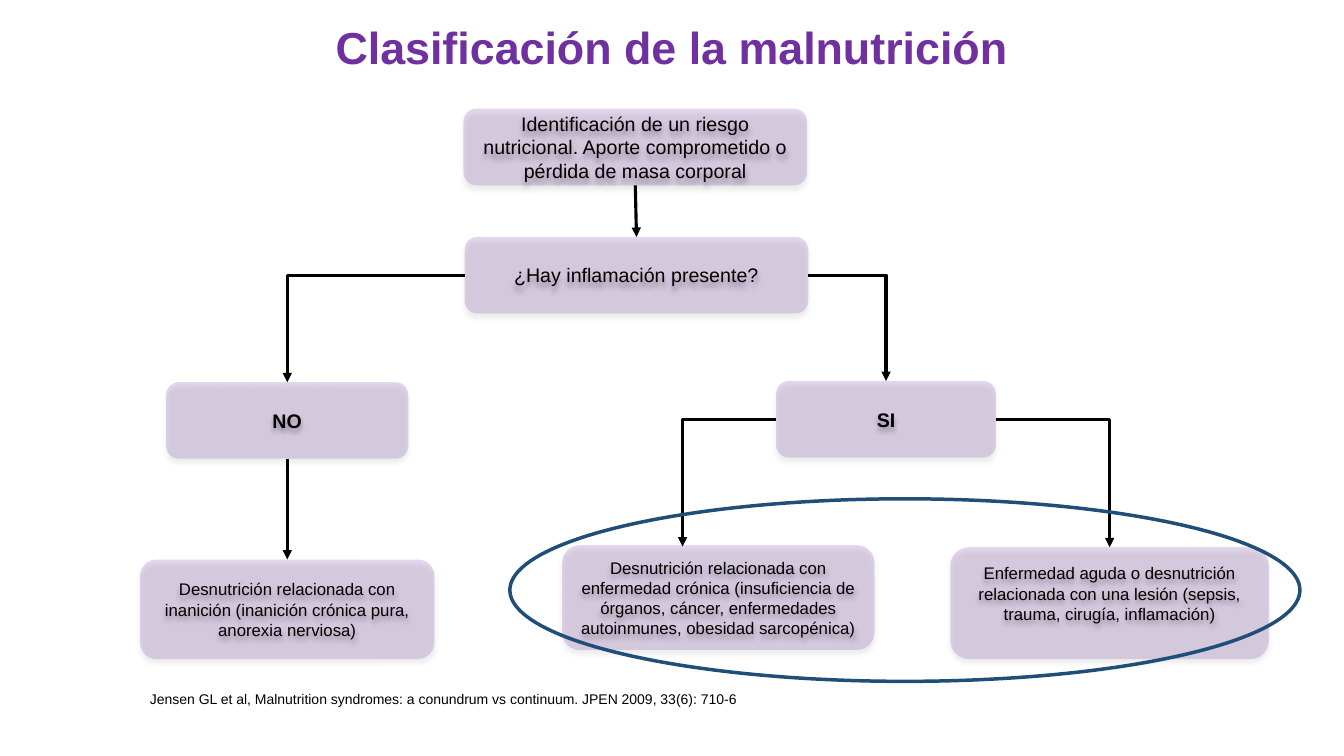
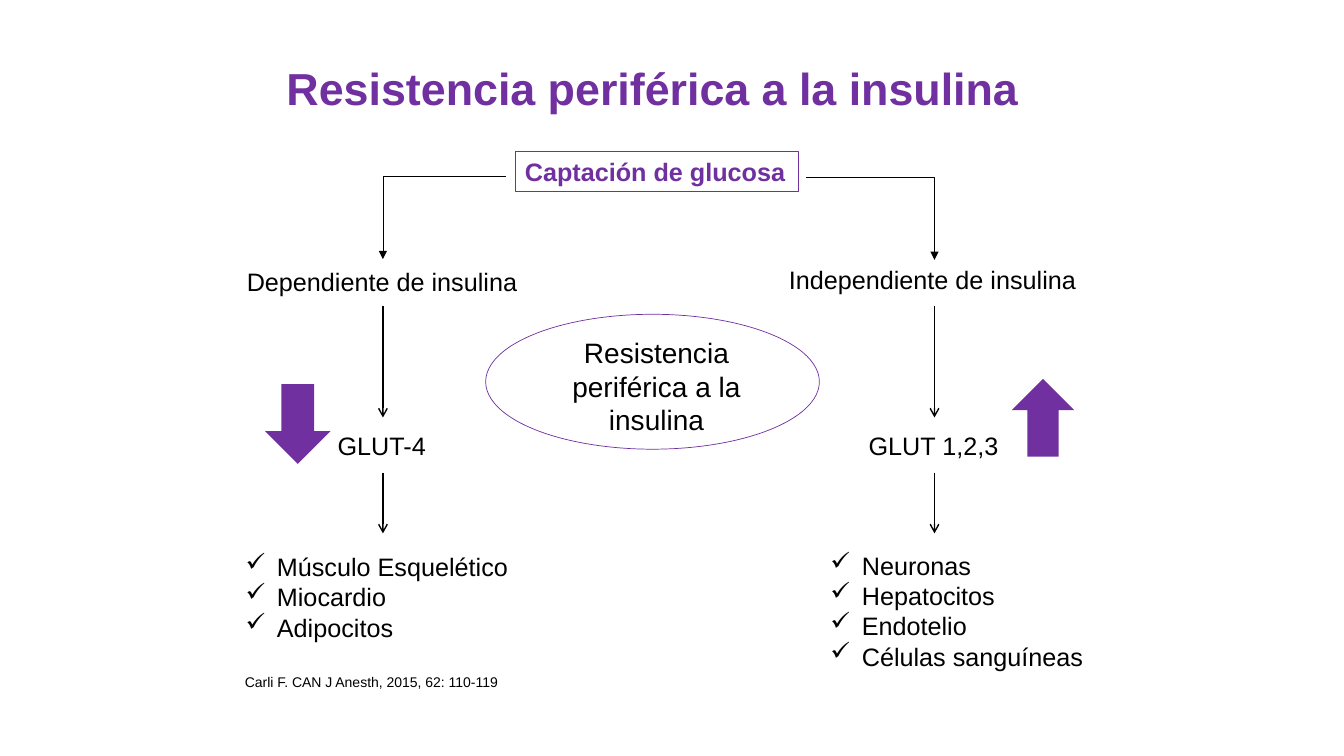
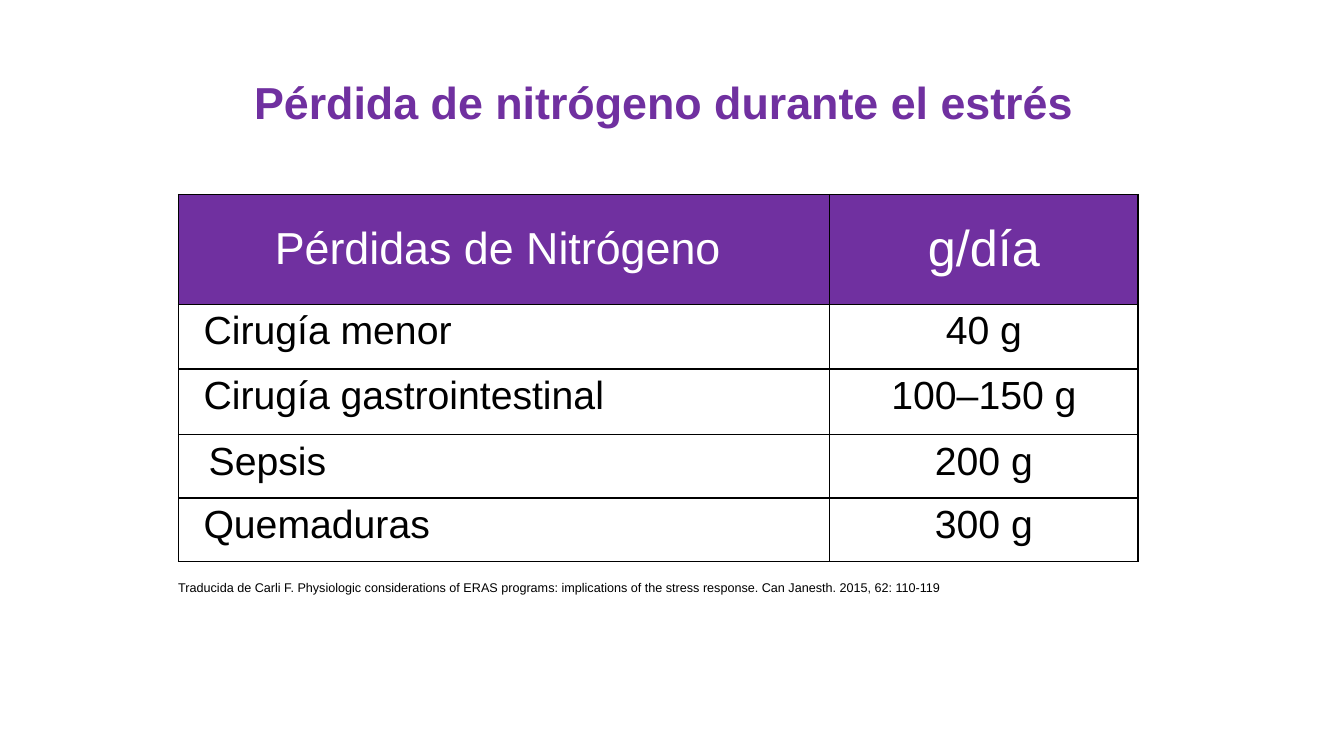
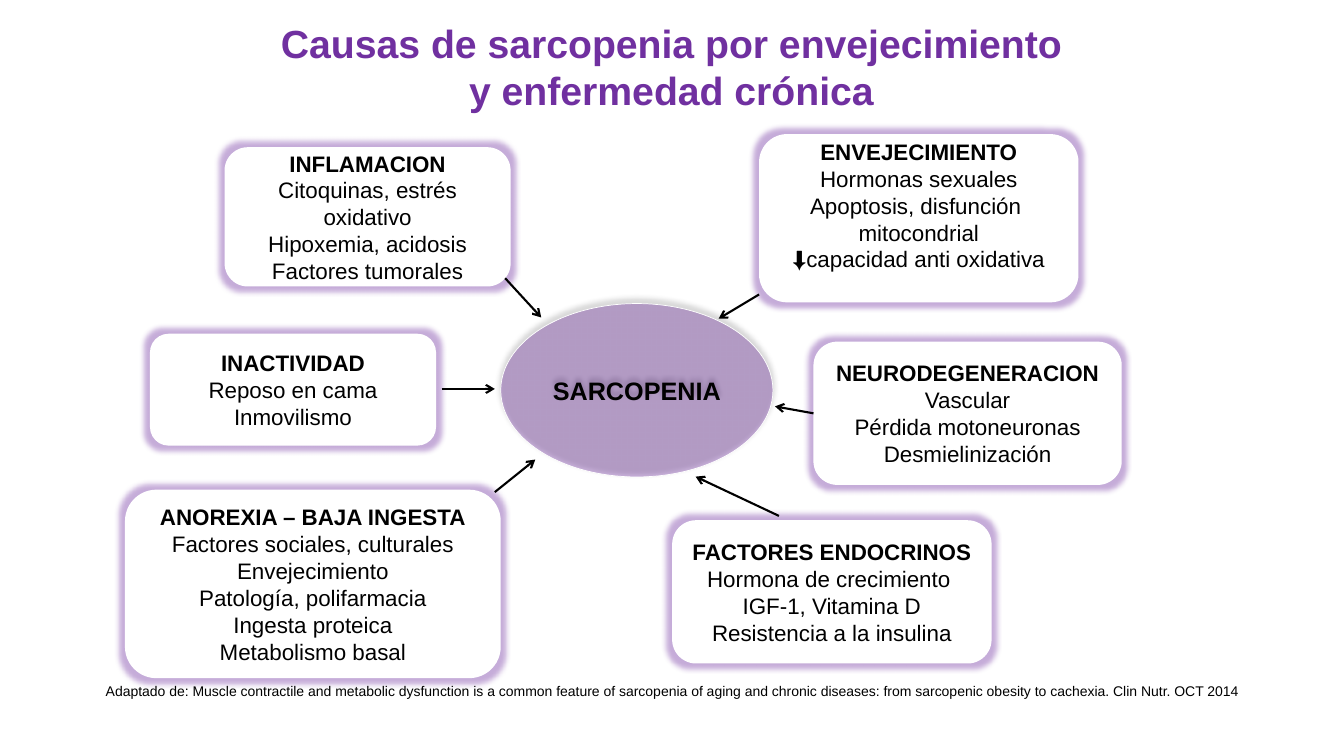
"""Builds four slides on malnutrition, insulin resistance, nitrogen loss and sarcopenia."""
from lxml.etree import SubElement
from pptx import Presentation
from pptx.dml.color import RGBColor
from pptx.enum.shapes import MSO_CONNECTOR, MSO_SHAPE
from pptx.enum.text import MSO_ANCHOR, PP_ALIGN
from pptx.oxml.ns import qn
from pptx.util import Cm, Pt

FONT = "Arial"
PURPLE, NAVY, BLACK, WHITE = "7030A0", "1F4E79", "000000", "FFFFFF"
LEFT, MID = PP_ALIGN.LEFT, PP_ALIGN.CENTER
ROUND, OVAL, RECT = MSO_SHAPE.ROUNDED_RECTANGLE, MSO_SHAPE.OVAL, MSO_SHAPE.RECTANGLE
TOP, WEST, BASE, EAST = range(4)

STEPS = {
    "risk": ((11.68, 2.74, 8.66, 1.93), "Identificación de un riesgo nutricional. Aporte comprometido o pérdida de masa corporal", {}),
    "ask": ((11.71, 5.97, 8.66, 1.93), "¿Hay inflamación presente?", {}),
    "yes": ((19.56, 9.6, 5.54, 1.93), "SI", {"bold": True}),
    "starve": ((3.53, 14.1, 7.42, 2.51), "Desnutrición relacionada con inanición (inanición crónica pura, anorexia nerviosa)", {"size": 12}),
    "chronic": ((14.17, 13.74, 7.87, 2.64), "Desnutrición relacionada con enfermedad crónica (insuficiencia de órganos, cáncer, enfermedades autoinmunes, obesidad sarcopénica)", {"size": 12}),
    "acute": ((23.95, 13.79, 8.03, 2.82), "Enfermedad aguda o desnutrición relacionada con una lesión (sepsis, trauma, cirugía, inflamación)", {"size": 12, "foot": 0.62}),
    "no": ((4.19, 9.63, 6.1, 1.93), "NO", {"bold": True}),
}
DOWN = [("risk", "ask"), ("no", "starve")]
TURNS = [("ask", EAST, "yes"), ("ask", WEST, "no"), ("yes", EAST, "acute")]

LABELS = [
    ((5.97, 6.58, 7.39, 1.02), "Dependiente de insulina"),
    ((19.63, 6.53, 7.82, 1.02), "Independiente de insulina"),
    ((8.26, 10.72, 2.79, 1.02), "GLUT-4"),
    ((21.64, 10.72, 3.86, 1.02), "GLUT 1,2,3"),
]
LISTS = [
    ((5.94, 13.77, 7.39, 2.57), "Músculo Esquelético\nMiocardio\nAdipocitos"),
    ((20.68, 13.74, 7.21, 3.33), "Neuronas\nHepatocitos\nEndotelio\nCélulas sanguíneas"),
]
AXES = (9.65, 23.55)
SPANS = [(7.72, 10.52), (11.91, 13.44)]
FORKS = [((20.32, 4.47), (AXES[1], 6.55)), ((12.75, 4.45), (AXES[0], 6.53))]
SIGNS = [
    (MSO_SHAPE.DOWN_ARROW, (6.68, 9.68, 1.65, 2.01)),
    (MSO_SHAPE.UP_ARROW, (25.5, 9.55, 1.57, 1.96)),
]

ROWS = [
    ("Pérdidas de Nitrógeno ", "g/día"),
    ("Cirugía menor", "40 g"),
    ("Cirugía gastrointestinal", "100–150 g"),
    ("Sepsis", "200 g"),
    ("Quemaduras", "300 g"),
]
WIDTHS = (16.41, 7.77)
HEIGHTS = (2.77, 1.63, 1.65, 1.6, 1.6)

CAUSES = [
    ((5.66, 3.71, 7.21, 3.51), "INFLAMACION\nCitoquinas, estrés oxidativo\nHipoxemia, acidosis\nFactores tumorales", {}),
    ((3.78, 8.41, 7.21, 2.82), "INACTIVIDAD\nReposo en cama\nInmovilismo", {}),
    ((3.15, 12.34, 9.47, 4.75), "ANOREXIA – BAJA INGESTA\nFactores sociales, culturales\nEnvejecimiento\nPatología, polifarmacia\nIngesta proteica\nMetabolismo basal", {}),
    ((19.13, 3.38, 8.05, 4.24), "ENVEJECIMIENTO\nHormonas sexuales\nApoptosis, disfunción \nmitocondrial\n⬇capacidad anti oxidativa", {"foot": 0.78}),
    ((16.94, 13.11, 8.05, 3.61), "FACTORES ENDOCRINOS\nHormona de crecimiento \nIGF-1, Vitamina D\nResistencia a la insulina", {}),
    ((20.5, 8.61, 7.77, 3.61), "NEURODEGENERACION\nVascular\nPérdida motoneuronas\nDesmielinización", {}),
]
RAYS = [
    ((12.73, 7.01), (13.64, 8)),
    ((19.13, 7.42), (18.11, 8.03)),
    ((11.13, 9.8), (12.47, 9.8)),
    ((12.47, 12.4), (13.49, 11.58)),
    ((19.63, 13), (17.53, 12.01)),
]


def rgb(code):
    """Turn a hex string into a colour."""
    return RGBColor.from_string(code)


def write(frame, text, size=14, color=BLACK, bold=False, head=False, align=MID,
          anchor=MSO_ANCHOR.MIDDLE, wrap=True, lead=None, mark=None, foot=None):
    """Fill a text frame, one paragraph to a line."""
    frame.word_wrap = wrap
    frame.vertical_anchor = anchor
    if foot:
        frame.margin_bottom = Cm(foot)
    for n, line in enumerate(text.split("\n")):
        par = frame.add_paragraph() if n else frame.paragraphs[0]
        par.alignment = align
        if lead:
            par.line_spacing = lead
        if mark:
            props = par._p.get_or_add_pPr()
            props.set("marL", str(Cm(0.79)))
            props.set("indent", str(-Cm(0.79)))
            SubElement(props, qn("a:buChar")).set("char", mark)
        run = par.add_run()
        run.text = line
        font = run.font
        font.name, font.size, font.color.rgb = FONT, Pt(size), rgb(color)
        font.bold = bold or (head and n == 0)


def label(slide, box, text, anchor=MSO_ANCHOR.TOP, **form):
    """Add a text box."""
    item = slide.shapes.add_textbox(*map(Cm, box))
    write(item.text_frame, text, anchor=anchor, **form)


def title(slide, box, text, size=32, **form):
    """Add a slide title."""
    label(slide, box, text, size=size, color=PURPLE, bold=True, anchor=MSO_ANCHOR.MIDDLE, **form)


def tint(parent, code, alpha):
    """Add a see-through colour to an effect."""
    tone = SubElement(parent, qn("a:srgbClr"))
    tone.set("val", code)
    SubElement(tone, qn("a:alpha")).set("val", str(alpha * 1000))


def shape(slide, kind, box, fill=None, alpha=None, line=None, width=1, cast=None, glow=False):
    """Add a preset shape; cast is the angle of its shadow."""
    item = slide.shapes.add_shape(kind, *map(Cm, box))
    item.shadow.inherit = False
    props = item.element.spPr
    if fill:
        item.fill.solid()
        item.fill.fore_color.rgb = rgb(fill)
        if alpha:
            tone = props.find(qn("a:solidFill")).find(qn("a:srgbClr"))
            SubElement(tone, qn("a:alpha")).set("val", str(alpha * 1000))
    else:
        item.fill.background()
    if line:
        item.line.color.rgb, item.line.width = rgb(line), Pt(width)
    else:
        item.line.fill.background()
    effects = props.find(qn("a:effectLst"))
    if cast is not None:
        shade = SubElement(effects, qn("a:outerShdw"))
        for key, val in (("blurRad", Pt(4)), ("dist", Pt(3)), ("dir", cast * 60000), ("rotWithShape", 0)):
            shade.set(key, str(val))
        tint(shade, BLACK, 40)
    if glow:
        halo = SubElement(effects, qn("a:glow"))
        halo.set("rad", str(Pt(8)))
        tint(halo, PURPLE, 40)
    return item


def spot(end):
    """Give the point of an end: a place, or a shape and its side."""
    item, n = end
    if isinstance(item, (int, float)):
        return Cm(item), Cm(n)
    x, y = item.left + item.width // 2, item.top + item.height // 2
    return ((x, item.top), (item.left, y), (x, item.top + item.height), (item.left + item.width, y))[n]


def link(slide, start, stop, width, tip, bent=False):
    """Draw an arrow, joined to any shape it starts or stops at."""
    kind = MSO_CONNECTOR.ELBOW if bent else MSO_CONNECTOR.STRAIGHT
    (x1, y1), (x2, y2) = spot(start), spot(stop)
    wire = slide.shapes.add_connector(kind, x1, y1, x2, y2)
    for end, join in ((start, wire.begin_connect), (stop, wire.end_connect)):
        if not isinstance(end[0], (int, float)):
            join(*end)
    wire.line.color.rgb, wire.line.width = rgb(BLACK), Pt(width)
    props = wire.element.spPr
    SubElement(props.find(qn("a:ln")), qn("a:tailEnd")).set("type", tip)
    SubElement(props, qn("a:effectLst"))
    if bent:
        props.find(qn("a:prstGeom")).set("prst", "bentConnector2")
        if x2 < x1:
            frame = props.find(qn("a:xfrm"))
            frame.set("rot", "10800000")
            frame.set("flipH", "0")
            frame.set("flipV", "1")


def edge(cell):
    """Draw the four borders of a cell."""
    props = cell._tc.get_or_add_tcPr()
    for n, name in enumerate(("a:lnL", "a:lnR", "a:lnT", "a:lnB")):
        line = props.makeelement(qn(name), {"w": str(Pt(1))})
        SubElement(SubElement(line, qn("a:solidFill")), qn("a:srgbClr")).set("val", BLACK)
        props.insert(n, line)


def triage(slide):
    """Build the classification of malnutrition."""
    title(slide, (0, 0.36, 33.87, 1.63), "Clasificación de la malnutrición")
    label(slide, (3.53, 17.27, 15.57, 0.71), "Jensen GL et al, Malnutrition syndromes: a conundrum vs continuum. JPEN 2009, 33(6): 710-6", size=10, align=LEFT)
    nodes = {}
    for name, (box, text, form) in STEPS.items():
        nodes[name] = shape(slide, ROUND, box, fill=PURPLE, alpha=19, cast=90)
        write(nodes[name].text_frame, text, **form)
    for a, b in DOWN:
        link(slide, (nodes[a], BASE), (nodes[b], TOP), 2.25, "triangle")
    for a, side, b in TURNS:
        link(slide, (nodes[a], side), (nodes[b], TOP), 2.25, "triangle", bent=True)
    link(slide, (nodes["yes"], WEST), (17.2, 13.77), 2.25, "triangle", bent=True)
    shape(slide, OVAL, (12.85, 12.57, 19.91, 4.6), line=NAVY, width=2.5)


def insulin(slide):
    """Build the paths of glucose uptake."""
    title(slide, (-0.48, 1.02, 33.87, 2.57), "Resistencia periférica a la insulina", lead=0.9)
    root = shape(slide, RECT, (12.98, 3.81, 7.14, 1.02), line=PURPLE, width=0.75)
    write(root.text_frame, "Captación de glucosa", size=18, color=PURPLE, bold=True, align=LEFT, wrap=False)
    for box, text in LABELS:
        label(slide, box, text, size=18, align=LEFT, wrap=False)
    for box, text in LISTS:
        label(slide, box, text, size=18, align=LEFT, mark="✓")
    for x in AXES:
        for y1, y2 in SPANS:
            link(slide, (x, y1), (x, y2), 1, "arrow")
    shape(slide, OVAL, (12.24, 7.92, 8.41, 3.4), line=PURPLE, width=0.5)
    label(slide, (13.84, 8.33, 5.41, 2.82), "Resistencia periférica a la insulina", size=20)
    for kind, box in SIGNS:
        shape(slide, kind, box, fill=PURPLE)
    label(slide, (5.92, 16.84, 15.93, 0.69), "Carli F. CAN J Anesth, 2015, 62: 110-119", size=10, align=LEFT)
    for start, stop in FORKS:
        link(slide, start, stop, 0.5, "triangle", bent=True)


def losses(slide):
    """Build the table of nitrogen losses."""
    title(slide, (-0.2, 1.75, 33.87, 1.63), "Pérdida de nitrógeno durante el estrés")
    box = (4.5, 4.9, sum(WIDTHS), sum(HEIGHTS))
    grid = slide.shapes.add_table(len(ROWS), len(WIDTHS), *map(Cm, box)).table
    for col, width in zip(grid.columns, WIDTHS):
        col.width = Cm(width)
    for r, (row, height) in enumerate(zip(ROWS, HEIGHTS)):
        grid.rows[r].height = Cm(height)
        for c, text in enumerate(row):
            cell = grid.cell(r, c)
            cell.fill.solid()
            cell.fill.fore_color.rgb = rgb(WHITE if r else PURPLE)
            edge(cell)
            if r:
                write(cell.text_frame, text, size=28, align=MID if c else LEFT)
            else:
                write(cell.text_frame, text, size=36 if c else 32, color=WHITE)
            cell.vertical_anchor = MSO_ANCHOR.TOP if r else MSO_ANCHOR.MIDDLE
            if r and not c:
                cell.margin_left = Cm(0.76 if text == "Sepsis" else 0.63)
    note = shape(slide, RECT, (4.09, 14.48, 20, 0.64), fill=WHITE)
    write(note.text_frame, "Traducida de Carli F. Physiologic considerations of ERAS programs: implications of the stress response. Can Janesth. 2015, 62: 110-119", size=9, wrap=False)


def muscle(slide):
    """Build the causes of sarcopenia."""
    title(slide, (6.53, 0.41, 20.78, 2.51), "Causas de sarcopenia por envejecimiento y enfermedad crónica", size=28)
    core = shape(slide, OVAL, (12.62, 7.65, 6.86, 4.37), fill=PURPLE, alpha=37, line=WHITE, width=0.5, cast=270)
    write(core.text_frame, "SARCOPENIA", size=18, bold=True)
    for box, text, form in CAUSES:
        card = shape(slide, ROUND, box, fill=WHITE, glow=True)
        write(card.text_frame, text, size=16, head=True, **form)
    for start, stop in RAYS:
        link(slide, start, stop, 1.5, "arrow")
    link(slide, (card, WEST), (19.53, 10.24), 1.5, "arrow")
    label(slide, (0.51, 17.07, 32.84, 0.69), "Adaptado de: Muscle contractile and metabolic dysfunction is a common feature of sarcopenia of aging and chronic diseases: from sarcopenic obesity to cachexia. Clin Nutr. OCT 2014", size=10)


def main():
    """Build and save the deck."""
    deck = Presentation()
    deck.slide_width, deck.slide_height = Cm(33.87), Cm(19.05)
    for build in (triage, insulin, losses, muscle):
        build(deck.slides.add_slide(deck.slide_layouts[6]))
    deck.save("out.pptx")


if __name__ == "__main__":
    main()
